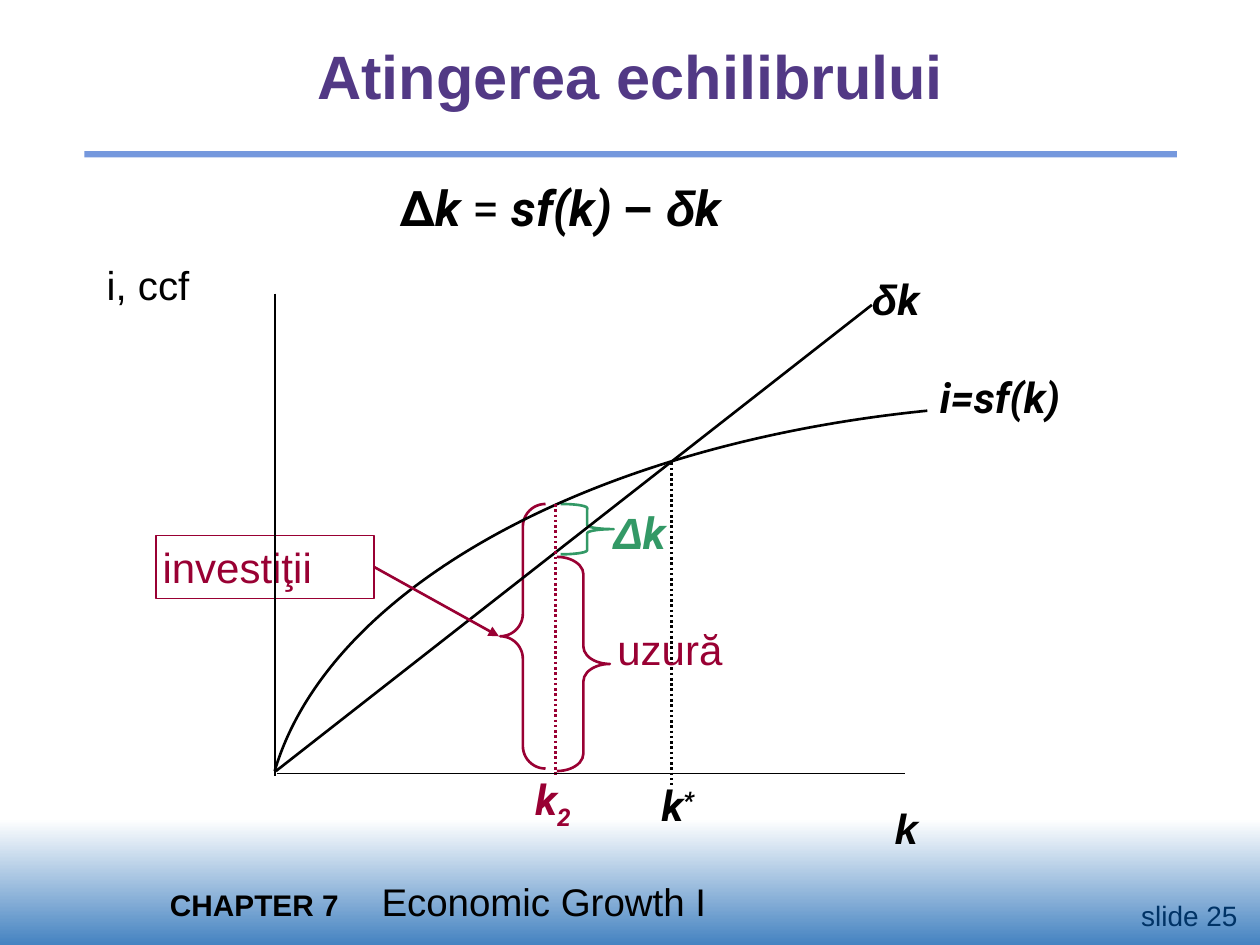
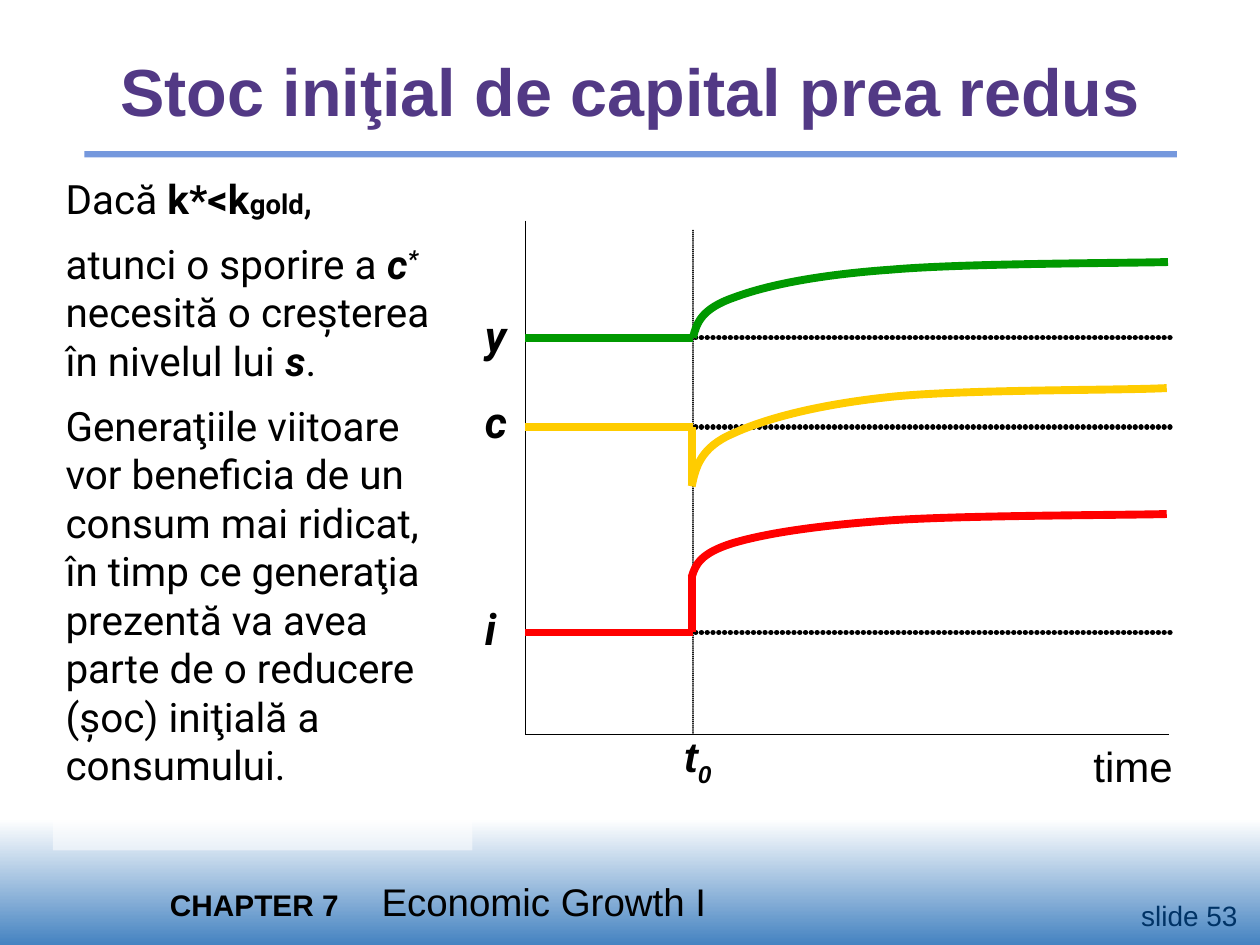
from lxml.etree import SubElement
from pptx import Presentation
from pptx.dml.color import RGBColor
from pptx.enum.dml import MSO_LINE
from pptx.enum.lang import MSO_LANGUAGE_ID as LANG
from pptx.enum.shapes import MSO_CONNECTOR, MSO_SHAPE
from pptx.enum.text import MSO_ANCHOR, MSO_AUTO_SIZE, PP_ALIGN
from pptx.oxml.ns import qn
from pptx.util import Inches, Pt

HUES = {
    "white": "FFFFFF", "black": "000000", "sky": "4583C1", "rule": "7598DD",
    "title": "523985", "navy": "003366", "wine": "990033", "jade": "339966",
    "green": "009900", "gold": "FFCC00", "red": "FF0000",
}
RGB = {name: RGBColor.from_string(code) for name, code in HUES.items()}
LEFT, MID, RIGHT = PP_ALIGN.LEFT, PP_ALIGN.CENTER, PP_ALIGN.RIGHT
ARIAL = {"name": "Arial"}
ROB = {"name": "Roboto"}
BOLD = {"bold": True}
SLANT = {"bold": True, "italic": True}
VAR = {**ROB, **SLANT}
SUB = {"base": "-25000"}
SUP = {"base": "30000"}


def write(par, runs, size, hue="black", look={}, align=LEFT, lang=None):
    par.alignment = align
    font = par.font
    font.size, font.color.rgb = Pt(size), RGB[hue]
    for key, val in {"name": "Arial", "bold": False, "italic": False, **look}.items():
        setattr(font, key, val)
    for item in runs:
        text, extra = (item, {}) if isinstance(item, str) else item
        if text == "\n":
            par.add_line_break()
            continue
        run = par.add_run()
        run.text = text
        if lang:
            run.font.language_id = lang
        for key, val in extra.items():
            if key == "base":
                run._r.get_or_add_rPr().set("baseline", val)
            else:
                setattr(run.font, key, val)


def draw(slide, pts, hue, width, dots=None):
    spots = [(Inches(x), Inches(y)) for x, y in pts]
    if len(pts) == 2:
        shape = slide.shapes.add_connector(MSO_CONNECTOR.STRAIGHT, *spots[0], *spots[1])
        SubElement(shape.element.spPr, qn("a:effectLst"))
    else:
        form = slide.shapes.build_freeform(*spots[0])
        form.add_line_segments(spots[1:], close=False)
        shape = form.convert_to_shape()
        trace = shape.element.xpath(".//a:path")[0]
        legs = trace.findall(qn("a:lnTo"))
        for n in range(0, len(legs), 3):
            bend = SubElement(trace, qn("a:cubicBezTo"))
            for leg in legs[n:n + 3]:
                bend.append(leg[0])
                trace.remove(leg)
        shape.fill.background()
        shape.shadow.inherit = False
    shape.line.color.rgb = RGB[hue]
    shape.line.width = Pt(width)
    if dots == "square":
        shape.line.dash_style = MSO_LINE.ROUND_DOT
    elif dots == "round":
        edge = shape.line._get_or_add_ln()
        edge.set("cap", "rnd")
        dash = SubElement(edge, qn("a:custDash"))
        SubElement(dash, qn("a:ds"), d="100000", sp="10000")
    return shape


prs = Presentation()
prs.slide_width, prs.slide_height = Inches(10), Inches(7.5)
solow = prs.slides.add_slide(prs.slide_layouts[5])
shock = prs.slides.add_slide(prs.slide_layouts[1])

band = solow.shapes.add_shape(
    MSO_SHAPE.RECTANGLE, Inches(0), Inches(6.5), Inches(10), Inches(1))
band.fill.gradient()
band.fill.gradient_angle = 270
for stop, hue in zip(band.fill.gradient_stops, ("white", "sky")):
    stop.color.rgb = RGB[hue]
rule = solow.shapes.add_shape(
    MSO_SHAPE.RECTANGLE, Inches(0.67), Inches(1.2), Inches(8.67), Inches(0.05))
rule.fill.solid()
rule.fill.fore_color.rgb = RGB["rule"]
for bar in (band, rule):
    bar.line.fill.background()
    bar.shadow.inherit = False
foot = solow.shapes.add_textbox(Inches(1.25), Inches(6.92), Inches(8.33), Inches(0.47))
par = foot.text_frame.paragraphs[0]
tabs = SubElement(par._p.get_or_add_pPr(), qn("a:tabLst"))
SubElement(tabs, qn("a:tab"), pos=str(Inches(1.68)), algn="l")
write(par, [("CHAPTER 7", {"size": Pt(17), "bold": True}), "\tEconomic Growth I"], 22)
for num, part in enumerate((band, rule, foot), 101):
    part.element.xpath(".//p:cNvPr")[0].set("id", str(num))
    prs.slide_master.shapes.element.append(part.element)

for slide, text, high, size in (
        (solow, "Atingerea echilibrului", 0.69, 35),
        (shock, "Stoc iniţial de capital prea redus", 0.92, 38)):
    title = slide.shapes.title
    title.left, title.top = Inches(0.42), Inches(0.25)
    title.width, title.height = Inches(9.17), Inches(high)
    frame = title.text_frame
    frame.auto_size = MSO_AUTO_SIZE.NONE
    frame.vertical_anchor = MSO_ANCHOR.MIDDLE
    write(frame.paragraphs[0], [text], size, "title", BOLD, MID)

body = shock.placeholders[1]
body.left, body.top = Inches(0.42), Inches(1.33)
body.width, body.height = Inches(3.33), Inches(5.42)
body.fill.solid()
body.fill.fore_color.rgb = RGB["white"]
SubElement(body.element.xpath(".//a:srgbClr")[0], qn("a:alpha"), val="50000")
frame = body.text_frame
frame.auto_size = MSO_AUTO_SIZE.NONE
story = [
    ["Dacă ", ("k*<k", BOLD), ("gold", {"size": Pt(15.7), **BOLD}), ","],
    ["atunci o sporire a ", ("c", SLANT), ("* ", {**SLANT, **SUP}),
     "necesită o creşterea în nivelul lui ", ("s", SLANT), "."],
    ["Generaţiile viitoare vor beneficia de un consum mai ridicat,", "\n",
     "în timp ce generaţia prezentă va avea parte de o reducere (şoc) iniţială a consumului."],
]
for n, runs in enumerate(story):
    par = frame.add_paragraph() if n else frame.paragraphs[0]
    props = par._p.get_or_add_pPr()
    props.set("marL", "0")
    props.set("indent", "0")
    par.space_before = Pt(9.4 if n else 0)
    SubElement(props, qn("a:buNone"))
    write(par, runs, 23.1, look=ROB, lang=LANG.ROMANIAN)

invest = solow.shapes.add_shape(
    MSO_SHAPE.RECTANGLE, Inches(1.24), Inches(4.25), Inches(1.73), Inches(0.5))
invest.fill.solid()
invest.fill.fore_color.rgb = RGB["white"]
invest.line.color.rgb = RGB["wine"]
invest.line.width = Pt(1)
invest.shadow.inherit = False
frame = invest.text_frame
frame.margin_left = frame.margin_right = Inches(0.05)
frame.vertical_anchor = MSO_ANCHOR.MIDDLE
write(frame.paragraphs[0], ["investiţii"], 24, "wine")

for kind, x, y, wide, high, bend, hue in (
        (MSO_SHAPE.LEFT_BRACE, 3.97, 4, 0.36, 2.1, 0.5, "wine"),
        (MSO_SHAPE.RIGHT_BRACE, 4.42, 4.42, 0.42, 1.7, 0.33, "wine"),
        (MSO_SHAPE.RIGHT_BRACE, 4.45, 4, 0.42, 0.4, 0.08, "jade")):
    brace = solow.shapes.add_shape(kind, Inches(x), Inches(y), Inches(wide), Inches(high))
    brace.adjustments[0] = bend
    brace.fill.background()
    brace.line.color.rgb = RGB[hue]
    brace.line.width = Pt(1.5)
    brace.shadow.inherit = False

draw(solow, [(7.36, 3.26), (4.68, 3.53), (2.61, 4.67), (2.18, 6.12)], "black", 1.5)
draw(solow, [(2.19, 6.12), (6.92, 2.42)], "black", 1.5)
draw(solow, [(5.33, 3.67), (5.33, 6.23)], "black", 1.5, "square")
draw(solow, [(4.41, 4), (4.41, 6.17)], "wine", 1.5, "square")
draw(solow, [(2.18, 2.33), (2.18, 6.16)], "black", 1)
draw(solow, [(2.2, 6.14), (7.18, 6.14)], "black", 1)
arrow = draw(solow, [(2.97, 4.5), (3.96, 5.05)], "wine", 1.5)
arrow.begin_connect(invest, 3)
SubElement(arrow.line._get_or_add_ln(), qn("a:tailEnd"), type="triangle")

draw(shock, [(4.17, 1.75), (4.17, 5.83)], "black", 0.75)
draw(shock, [(4.17, 5.83), (9.28, 5.83)], "black", 0.75)
draw(shock, [(5.5, 1.83), (5.5, 5.83)], "black", 1, "round")
for hue, base, jump, curve in (
        ("gold", 3.39, 3.85,
         [(5.49, 3.86), (5.52, 3.71), (5.56, 3.55), (5.82, 3.44), (6.08, 3.32),
          (6.5, 3.21), (7.07, 3.15), (7.64, 3.09), (8.89, 3.1), (9.26, 3.08)]),
        ("red", 5.02, 4.57,
         [(5.49, 4.58), (5.52, 4.48), (5.56, 4.39), (5.82, 4.31), (6.09, 4.23),
          (6.5, 4.17), (7.07, 4.13), (7.65, 4.09), (8.9, 4.09), (9.26, 4.08)]),
        ("green", 2.68, None,
         [(5.5, 2.68), (5.53, 2.56), (5.57, 2.45), (5.83, 2.36), (6.1, 2.26),
          (6.51, 2.18), (7.08, 2.14), (7.66, 2.09), (8.91, 2.09), (9.27, 2.08)])):
    draw(shock, [(4.19, base), (9.3, base)], "black", 3, "round")
    draw(shock, [(4.17, base), (5.5, base)], hue, 4.5)
    if jump:
        draw(shock, [(5.49, base), (5.49, jump)], hue, 4.5)
    draw(shock, curve, hue, 4.5)

flat = [
    (6.92, 2.17, 1.08, 0.4, [("δ", ARIAL), "k"], 24, "black", VAR, LEFT),
    (5.25, 6.19, 0.58, 0.4, ["k", ("*", SUP)], 24, "black", VAR, LEFT),
    (4.25, 6.14, 0.5, 0.46, ["k", ("2", SUB)], 24, "wine", VAR, LEFT),
    (4.9, 4.95, 1.83, 0.4, ["uzură"], 24, "wine", {}, LEFT),
    (4.87, 4.01, 0.58, 0.42, [("Δ", ARIAL), "k"], 25, "jade", VAR, LEFT),
    (0.17, 2.07, 2.01, 0.38, ["i, ccf"], 23, "black", {}, MID),
    (7.1, 6.37, 1.75, 0.4, ["k"], 24, "black", SLANT, LEFT),
    (3.17, 1.41, 2.92, 0.47,
     [("Δ", {"italic": False}), "k", (" = ", {"bold": False, "italic": False}), "sf(k) ",
      ("− ", {**ARIAL, "italic": False}), ("δ", ARIAL), "k"], 28, "black", VAR, LEFT),
    (7.46, 2.95, 1.37, 0.4, ["i=sf(k)"], 24, "black", VAR, LEFT),
]
inset = [
    (8.58, 5.83, 0.92, 0.5, ["time"], 24, "black", {}, LEFT),
    (5.33, 5.75, 0.5, 0.56, ["t", ("0", SUB)], 24, "black", SLANT, LEFT),
]
for name, y in (("y", 2.4), ("c", 3.08), ("i", 4.73)):
    inset.append((3.75, y, 0.5, 0.52, [name], 25, "black", VAR, LEFT))
page = (8.92, 7.08, 1, 0.37)
for slide, tags, pad in (
        (solow, flat, False), (shock, inset, True),
        (solow, [(*page, ["slide 25"], 16, "navy", {}, RIGHT)], True),
        (shock, [(*page, ["slide 53"], 16, "navy", {}, RIGHT)], True)):
    for x, y, wide, high, runs, size, hue, look, align in tags:
        box = slide.shapes.add_textbox(Inches(x), Inches(y), Inches(wide), Inches(high))
        frame = box.text_frame
        frame.word_wrap = True
        if not pad:
            frame.margin_left = frame.margin_right = 0
            frame.margin_top = frame.margin_bottom = 0
            frame.vertical_anchor = MSO_ANCHOR.MIDDLE
        write(frame.paragraphs[0], runs, size, hue, look, align)

prs.save("out.pptx")
